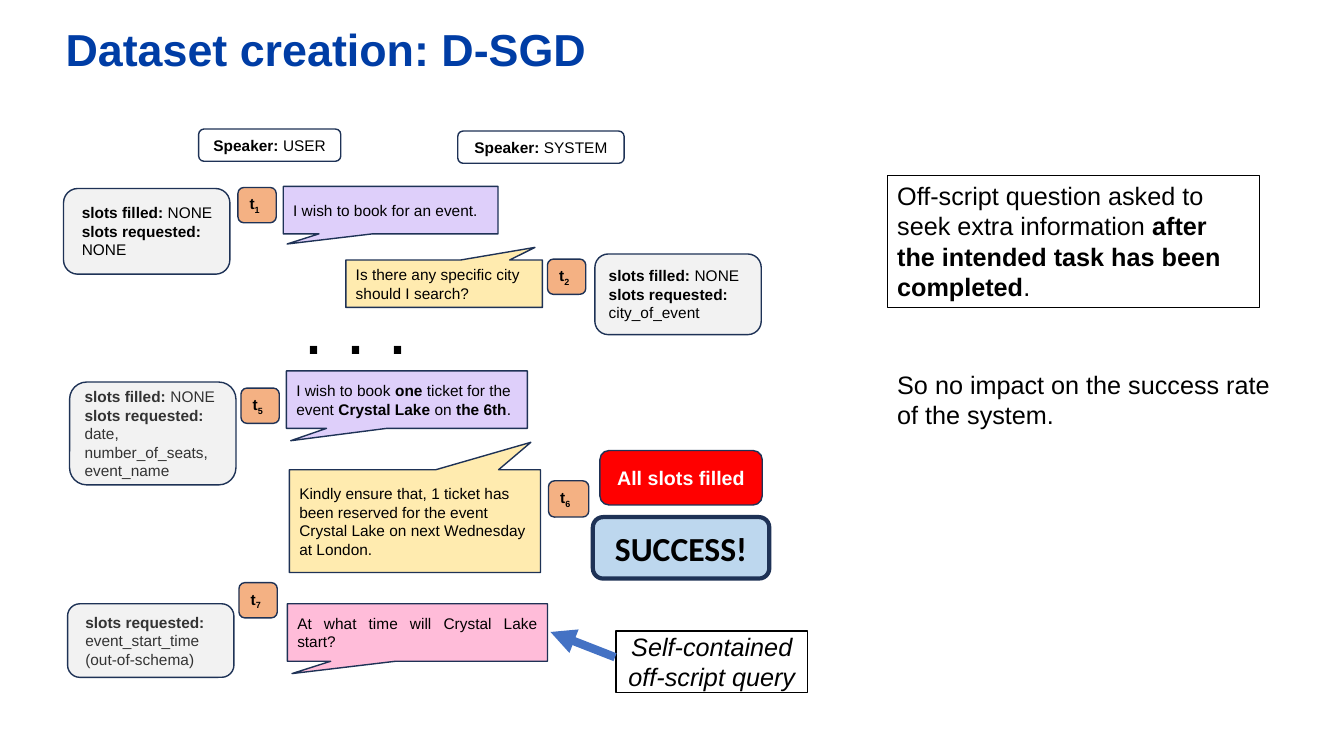
from pptx import Presentation
from pptx.dml.color import RGBColor
from pptx.enum.dml import MSO_LINE
from pptx.enum.shapes import MSO_CONNECTOR, MSO_SHAPE
from pptx.enum.text import MSO_ANCHOR, MSO_AUTO_SIZE, PP_ALIGN
from pptx.oxml.ns import qn
from pptx.util import Inches, Pt
from lxml.etree import SubElement

NAVY, BLACK, GREY = "1E3256", "000000", "333333"
LILAC, SAND, PINK = "D5C2F9", "FFE699", "FFAACF"
DOWN, UP = (-0.482, 0.715), (0.462, -0.767)


def color(code):
    return RGBColor.from_string(code)


def write(shape, text, size=11, font="Arial", ink=BLACK, bold=False, italic=False,
          align=PP_ALIGN.LEFT, anchor=MSO_ANCHOR.TOP, pad=(0.1, 0.05), wrap=True):
    """Fill a shape with lines of text; * switches bold and ~ starts a subscript."""
    frame = shape.text_frame
    frame.auto_size = MSO_AUTO_SIZE.NONE
    frame.word_wrap = wrap
    frame.vertical_anchor = anchor
    frame.margin_left, frame.margin_right = Inches(pad[0]), Inches(min(pad[0], 0.1))
    frame.margin_top = frame.margin_bottom = Inches(pad[1])
    for row, line in enumerate(text.split("\n")):
        para = frame.add_paragraph() if row else frame.paragraphs[0]
        para.alignment = align
        for turn, part in enumerate(line.split("*")):
            for level, piece in enumerate(part.split("~")):
                if not piece:
                    continue
                run = para.add_run()
                run.text = piece
                face = run.font
                face.name, face.size, face.italic = font, Pt(size), italic
                face.bold = bold != (turn % 2 == 1)
                face.color.rgb = color(ink)
                if level:
                    face._element.set("baseline", "-25000")


class Board:
    def __init__(self, slide):
        self.slide = slide
        self.shapes = slide.shapes

    def title(self, text, *box):
        head = self.shapes.title
        head.left, head.top, head.width, head.height = map(Inches, box)
        write(head, text, size=32, ink="003DA5", bold=True, pad=(0, 0))

    def shape(self, kind, box, fill=None, edge=NAVY, weight=1):
        item = self.shapes.add_shape(kind, *map(Inches, box))
        item.shadow.inherit = False
        if fill:
            item.fill.solid()
            item.fill.fore_color.rgb = color(fill)
        else:
            item.fill.background()
        item.line.color.rgb = color(edge)
        item.line.width = Pt(weight)
        return item

    def card(self, text, *box, fill=None, weight=1, **style):
        item = self.shape(MSO_SHAPE.ROUNDED_RECTANGLE, box, fill, weight=weight)
        write(item, text, anchor=MSO_ANCHOR.MIDDLE, **style)

    def slots(self, text, *box, **style):
        self.card(text, *box, fill="F2F2F2", **style)

    def turn(self, number, left, top, width=0.38, height=0.35):
        self.card(f"t~{number}", left, top, width, height, fill="F4B183", bold=True)

    def speech(self, text, *box, fill, tip, **style):
        item = self.shape(MSO_SHAPE.RECTANGULAR_CALLOUT, box, fill)
        item.adjustments[0], item.adjustments[1] = tip
        shade = item.fill._xPr.find(qn("a:solidFill"))[0]
        SubElement(shade, qn("a:alpha"), val="78000")
        write(item, text, anchor=MSO_ANCHOR.MIDDLE, **style)

    def frame(self, text, *box, **style):
        item = self.shape(MSO_SHAPE.RECTANGLE, box, edge=BLACK, weight=0.75)
        write(item, text, size=18, **style)

    def label(self, text, *box, **style):
        write(self.shapes.add_textbox(*map(Inches, box)), text, **style)

    def arrow(self, *ends):
        link = self.shapes.add_connector(MSO_CONNECTOR.STRAIGHT, *map(Inches, ends))
        link.line.color.rgb = color("4472C4")
        link.line.width = Pt(6)
        link.line.dash_style = MSO_LINE.SOLID
        SubElement(link.line._get_or_add_ln(), qn("a:tailEnd"), type="triangle")
        SubElement(link._element.spPr, qn("a:effectLst"))


def main():
    deck = Presentation()
    deck.slide_width, deck.slide_height = Inches(13.33), Inches(7.5)
    board = Board(deck.slides.add_slide(deck.slide_layouts[5]))
    mid = PP_ALIGN.CENTER

    board.title("Dataset creation: D-SGD", 0.65, 0.22, 9.92, 0.54)
    board.card("*Speaker:* USER", 1.97, 1.28, 1.41, 0.32, align=mid)
    board.card("*Speaker:* SYSTEM", 4.54, 1.3, 1.65, 0.32, align=mid)

    board.slots("*slots filled:* NONE\n*slots requested:*\nNONE",
                0.63, 1.87, 1.65, 0.85, pad=(0.14, 0.05))
    board.slots("*slots filled:* NONE\n*slots requested:*\ncity_of_event",
                5.9, 2.52, 1.65, 0.8)
    board.slots("*slots filled:* NONE\n*slots requested:*\ndate, number_of_seats,\nevent_name",
                0.69, 3.79, 1.65, 1.02, ink=GREY)
    board.slots("*slots requested:*\nevent_start_time\n(out-of-schema)",
                0.67, 5.99, 1.65, 0.73, ink=GREY, pad=(0.14, 0.05))

    board.speech("I wish to book for an event.",
                 2.81, 1.85, 2.13, 0.47, fill=LILAC, tip=DOWN)
    board.speech("Is there any specific city should I search?",
                 3.43, 2.58, 1.95, 0.47, fill=SAND, tip=UP)
    board.label(". . .", 2.91, 2.72, 1.25, 1.01, size=54, wrap=False)
    board.speech("I wish to book *one* ticket for the event *Crystal Lake* on *the 6th*.",
                 2.84, 3.68, 2.39, 0.57, fill=LILAC, tip=DOWN)
    board.speech("Kindly ensure that, 1 ticket has been reserved for the event "
                 "Crystal Lake on next Wednesday at London.",
                 2.87, 4.66, 2.49, 1.02, fill=SAND, tip=UP)
    board.speech("At what time will Crystal Lake start?",
                 2.85, 5.99, 2.58, 0.57, fill=PINK, tip=DOWN, align=PP_ALIGN.JUSTIFY)

    for number, left, top in ((1, 2.36, 1.86), (2, 5.43, 2.57), (5, 2.39, 3.85), (7, 2.37, 5.78)):
        board.turn(number, left, top)
    board.turn(6, 5.44, 4.77, 0.4, 0.36)

    board.card("All slots filled", 5.95, 4.47, 1.61, 0.54, fill="FF0000",
               size=14, ink="FFFFFF", bold=True, align=mid)
    board.card("SUCCESS!", 5.88, 5.13, 1.75, 0.61, fill="BDD7EE", weight=3,
               size=24, font="Calibri", bold=True, align=mid)

    board.frame("Self-contained off-script query", 6.11, 6.26, 1.9, 0.61,
                italic=True, align=mid, pad=(0, 0))
    board.arrow(6.1, 6.52, 5.46, 6.27)
    board.frame("Off-script question asked to seek extra information "
                "*after the intended task has been completed*.", 8.8, 1.74, 3.69, 1.31)
    board.label("So no impact on the success rate of the system.",
                8.8, 3.61, 4.02, 0.71, size=18)
    deck.save("out.pptx")


if __name__ == "__main__":
    main()
